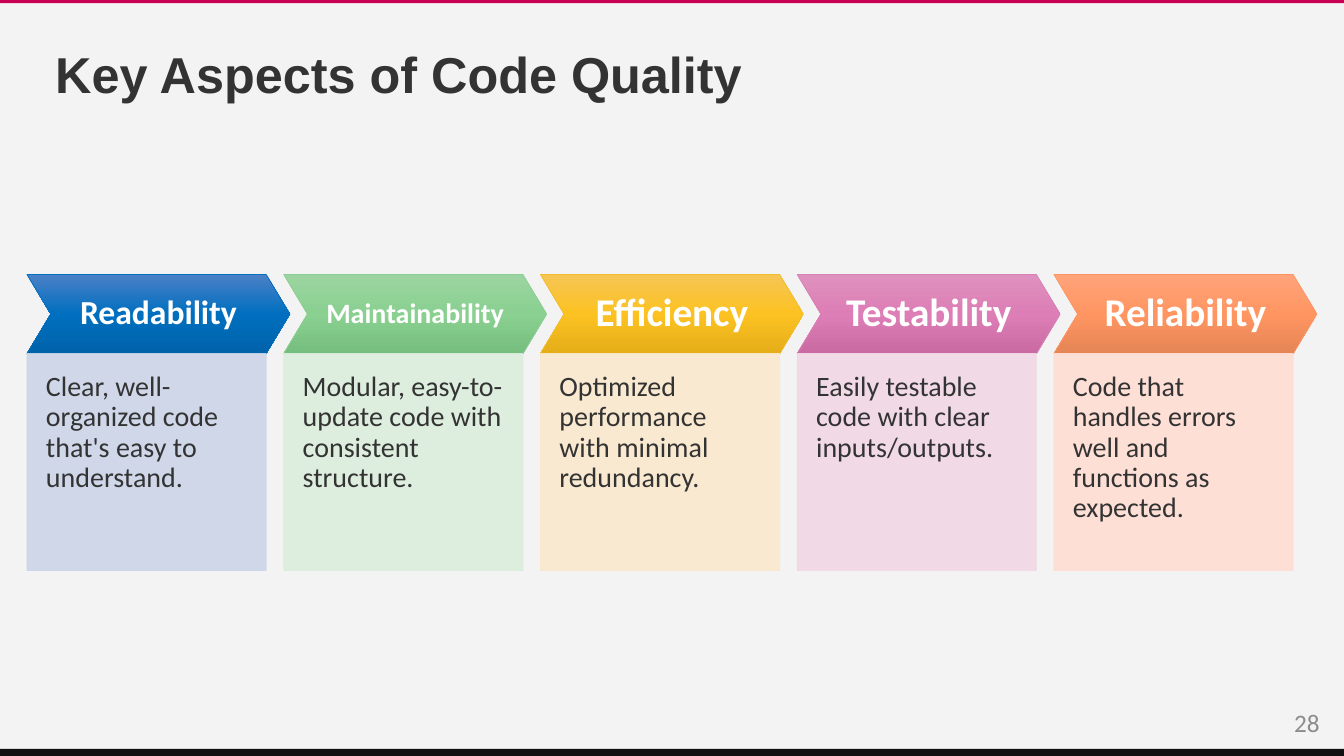
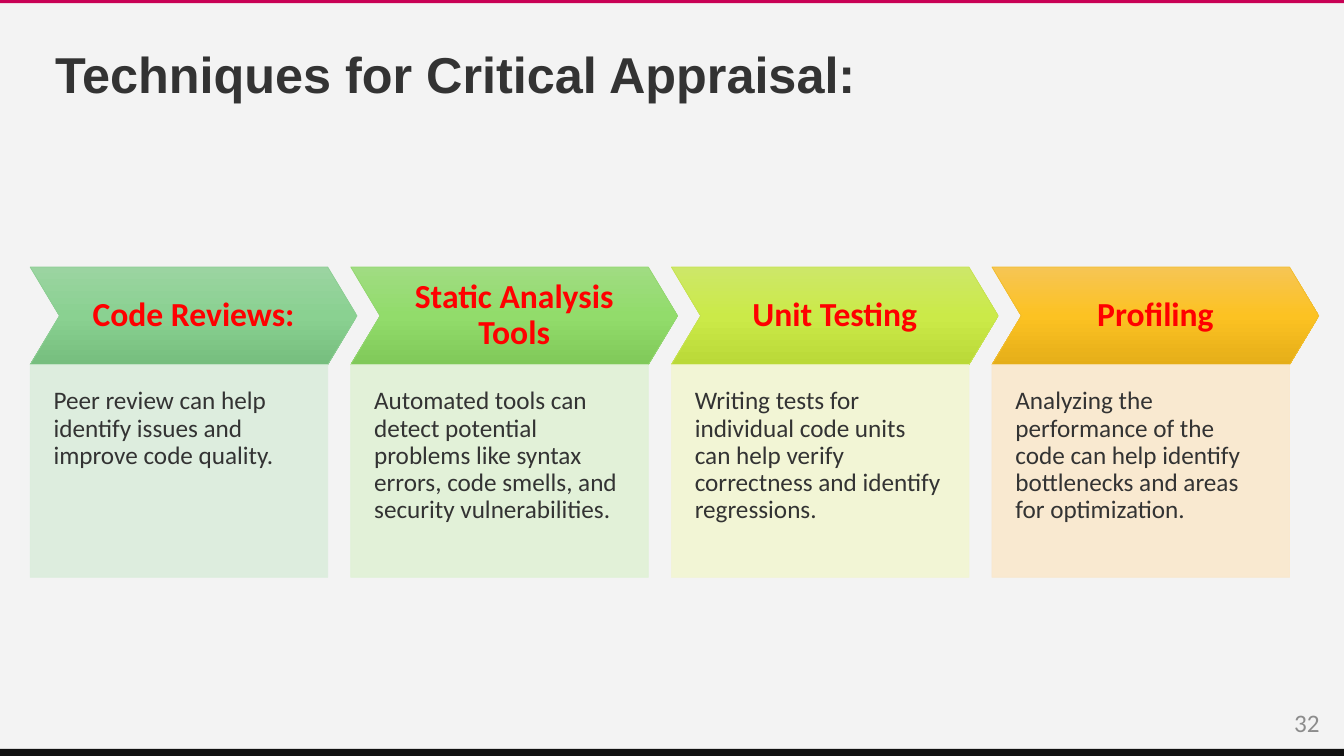
"""Build two slides of chevron columns in one shared style."""
from collections import namedtuple
from copy import deepcopy

from pptx import Presentation
from pptx.dml.color import RGBColor
from pptx.enum import shapes, text
from pptx.oxml import ns
from pptx.util import Cm, Pt

PAPER = RGBColor(0xF3, 0xF3, 0xF3)
INK = RGBColor(0x33, 0x33, 0x33)
BLACK = RGBColor(0x10, 0x10, 0x10)
CRIMSON = RGBColor(0xC8, 0x00, 0x54)
GRAY = RGBColor(0x8C, 0x8C, 0x8C)
WHITE = RGBColor(0xFF, 0xFF, 0xFF)
RED = RGBColor(0xFF, 0x00, 0x00)

Tone = namedtuple("Tone", "top mid low edge tint")
Grid = namedtuple("Grid", "left top step wide head body")
Step = namedtuple("Step", "tone name size note")


def tone(*codes):
    return Tone(*map(RGBColor.from_string, codes))


BLUE = tone("4B80C7", "006FBF", "0063AA", "006FBF", "CCD5E8")
GREEN = tone("9BD4A1", "8AD191", "76BE7E", "8DCE94", "DBEDDC")
LEAF = tone("A0DC82", "92DC6B", "80C959", "94D770", "E1F1D6")
LIME = tone("CDE769", "CBEA48", "BAD938", "C7E350", "F2F6D2")
GOLD = tone("F6C554", "FCC222", "E5AE19", "F2BD2C", "FAE8CD")
PINK = tone("DE91BE", "DD7EB6", "CA6AA2", "D982B5", "F1D8E5")
CORAL = tone("FFA37A", "FF9662", "E58555", "FF9662", "FFDDD3")

NOTCH = 0.3

ASPECTS = [
    Step(BLUE, "Readability", 24,
         "Clear, well-organized code that's easy to understand."),
    Step(GREEN, "Maintainability", 20,
         "Modular, easy-to-update code with consistent structure."),
    Step(GOLD, "Efficiency", 28,
         "Optimized performance with minimal redundancy."),
    Step(PINK, "Testability", 28,
         "Easily testable code with clear inputs/outputs."),
    Step(CORAL, "Reliability", 28,
         "Code that handles errors well and functions as expected."),
]
METHODS = [
    Step(GREEN, "Code Reviews:", 24,
         "Peer review can help identify issues and improve code quality."),
    Step(LEAF, "Static Analysis Tools", 24,
         "Automated tools can detect potential problems like syntax errors, "
         "code smells, and security vulnerabilities."),
    Step(LIME, "Unit Testing", 24,
         "Writing tests for individual code units can help verify "
         "correctness and identify regressions."),
    Step(GOLD, "Profiling", 24,
         "Analyzing the performance of the code can help identify "
         "bottlenecks and areas for optimization."),
]


def write(shape, words, size=18, color=INK, font="Calibri", bold=False,
          align=text.PP_ALIGN.LEFT, anchor=text.MSO_ANCHOR.TOP,
          pads=(0.25, 0.13, 0.25, 0.13), lead=0.9):
    frame = shape.text_frame
    frame.word_wrap = True
    frame.auto_size = text.MSO_AUTO_SIZE.NONE
    frame.vertical_anchor = anchor
    (frame.margin_left, frame.margin_top,
     frame.margin_right, frame.margin_bottom) = map(Cm, pads)
    para = frame.paragraphs[0]
    para.alignment, para.line_spacing = align, lead
    run = para.add_run()
    run.text = words
    run.font.name, run.font.size, run.font.bold = font, Pt(size), bold
    run.font.color.rgb = color


class Deck:
    """Hold the shared style and the current slide."""

    def __init__(self):
        self.show = Presentation()
        self.show.slide_width, self.show.slide_height = Cm(33.87), Cm(19.05)
        back = self.show.slide_master.background.fill
        back.solid()
        back.fore_color.rgb = PAPER

    def page(self, title, number):
        self.slide = self.show.slides.add_slide(self.show.slide_layouts[5])
        self.band(18.87, 0.18, BLACK)
        self.band(0, 0.08, CRIMSON)
        label = self.slide.shapes.add_textbox(
            Cm(27.79), Cm(17.7), Cm(5.72), Cm(1.02))
        write(label, str(number), color=GRAY, align=text.PP_ALIGN.RIGHT, lead=1)
        head = self.slide.shapes.title
        head.left, head.top = Cm(1.14), Cm(1.14)
        head.width, head.height = Cm(26.67), Cm(2.67)
        write(head, title, size=36, font="Arial", bold=True)

    def shape(self, kind, left, top, wide, high):
        item = self.slide.shapes.add_shape(
            kind, Cm(left), Cm(top), Cm(wide), Cm(high))
        item.shadow.inherit = False
        return item

    def band(self, top, high, color):
        item = self.shape(shapes.MSO_SHAPE.RECTANGLE, 0, top, 33.87, high)
        item.fill.solid()
        item.fill.fore_color.rgb = color
        item.line.fill.background()

    def arrow(self, left, grid, step, color):
        high = grid.head
        item = self.shape(shapes.MSO_SHAPE.CHEVRON, left, grid.top,
                          grid.wide + NOTCH * high, high)
        item.adjustments[0] = NOTCH
        item.fill.gradient()
        item.fill.gradient_angle = 270
        stops = item.element.spPr.find(".//" + ns.qn("a:gsLst"))
        stops.append(deepcopy(stops[-1]))
        for stop, place, shade in zip(item.fill.gradient_stops,
                                      (0, 0.5, 1), step.tone):
            stop.position, stop.color.rgb = place, shade
        item.line.color.rgb = step.tone.edge
        item.line.width = Pt(0.5)
        write(item, step.name, size=step.size, color=color, bold=True,
              align=text.PP_ALIGN.CENTER, anchor=text.MSO_ANCHOR.MIDDLE,
              pads=(0.12 * high,) * 4)

    def card(self, left, grid, step, size):
        item = self.shape(shapes.MSO_SHAPE.RECTANGLE, left,
                          grid.top + grid.head, grid.wide, grid.body)
        item.fill.solid()
        item.fill.fore_color.rgb = item.line.color.rgb = step.tone.tint
        item.line.width = Pt(0.5)
        for color in item.element.spPr.iter(ns.qn("a:srgbClr")):
            alpha = color.makeelement(ns.qn("a:alpha"), {"val": "90000"})
            color.append(alpha)
        pad = 0.24 * grid.head
        write(item, step.note, size=size, pads=(pad, pad, pad, 2 * pad))

    def flow(self, steps, grid, color, size):
        for index, step in enumerate(steps):
            left = grid.left + index * grid.step
            self.arrow(left, grid, step, color)
            self.card(left, grid, step, size)


def main():
    deck = Deck()
    deck.page("Key Aspects of Code Quality", 28)
    deck.flow(ASPECTS, Grid(0.68, 6.92, 6.47, 6.03, 1.99, 5.47), WHITE, 20)
    deck.page("Techniques for Critical Appraisal:", 32)
    deck.flow(METHODS, Grid(0.76, 6.73, 8.08, 7.5, 2.46, 5.36), RED, 18)
    deck.show.save("out.pptx")


if __name__ == "__main__":
    main()
